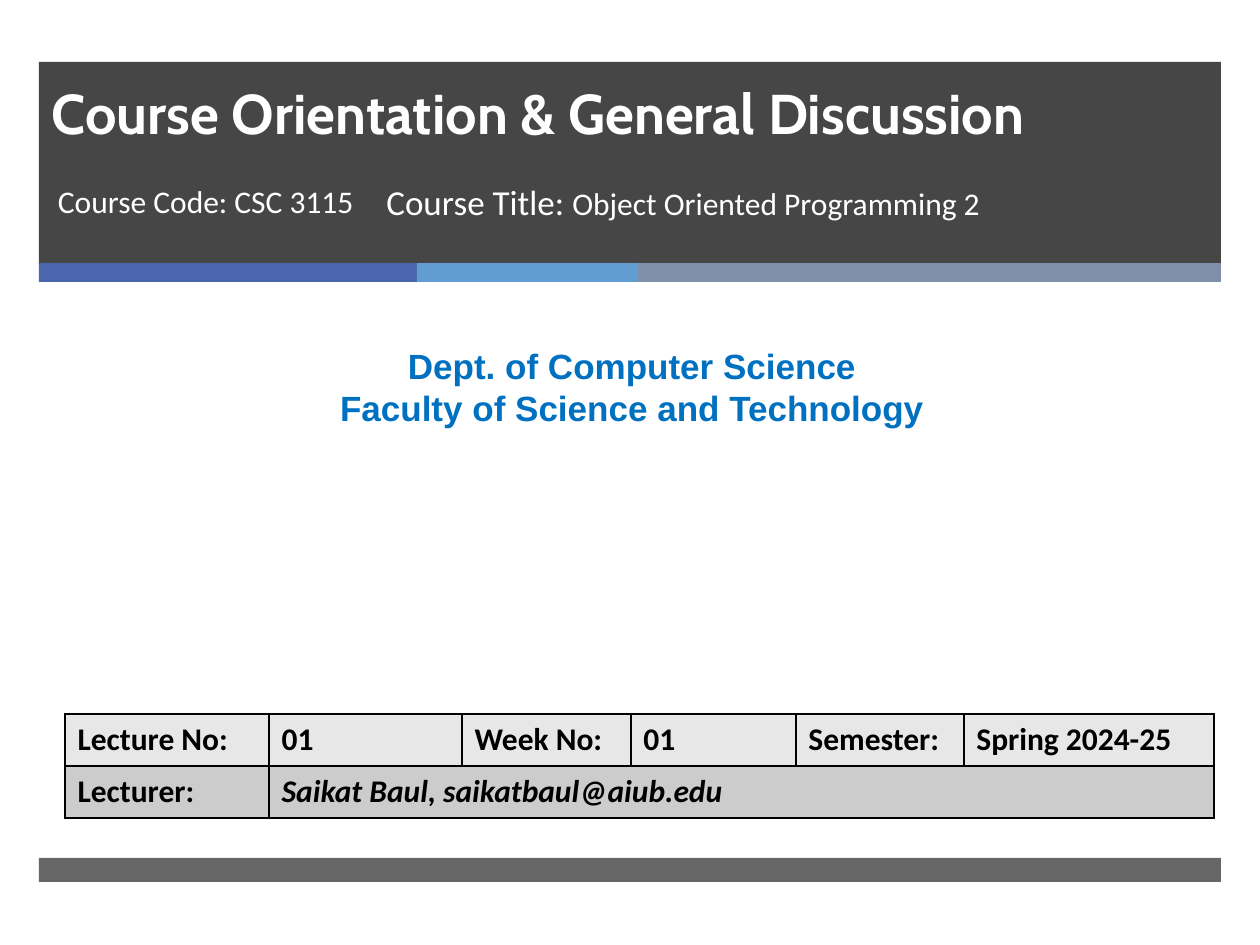
from pptx import Presentation
from pptx.dml.color import RGBColor
from pptx.enum.shapes import MSO_SHAPE
from pptx.enum.text import MSO_ANCHOR, MSO_AUTO_SIZE, PP_ALIGN
from pptx.oxml.ns import qn
from pptx.util import Emu, Pt
from lxml import etree

RECTANGLE = MSO_SHAPE.RECTANGLE
LEFT, CENTER = PP_ALIGN.LEFT, PP_ALIGN.CENTER
TOP, BOTTOM = MSO_ANCHOR.TOP, MSO_ANCHOR.BOTTOM
NO_AUTOFIT = MSO_AUTO_SIZE.NONE

TITLE = "Course Orientation & General Discussion"
COURSE_CODE = "Course Code: CSC 3115"
COURSE_TITLE = ("Course Title: ", "Object Oriented Programming 2")
DEPARTMENT = ("Dept. of Computer Science", "Faculty of Science and Technology")
LECTURE_ROWS = [
    ["Lecture No:", "01", "Week No:", "01", "Semester:", "Spring 2024-25"],
    ["Lecturer:", "Saikat Baul, saikatbaul@aiub.edu"],
]

THEME = {
    "dark": "262626", "white": "FFFFFF", "black": "000000", "heading": "0070C0",
    "stripes": ("4A66AC", "629DD1", "7F8FA9"),
    "rows": ("E7E7E7", "CCCCCC"),
    "title_font": "Cabin", "body_font": "Calibri", "heading_font": "Arial",
    "title_size": 32, "heading_size": 20, "body_size": 18,
}

SLIDE_SIZE = (1260, 945)
BAND_LEFT, BAND_WIDTH = 39, 1182
STRIPE_WIDTHS = (378, 221, 583)
TABLE_LEFT, TABLE_TOP, ROW_HEIGHT = 65, 714, 52
COLUMN_WIDTHS = (204, 193, 169, 165, 168, 250)


def px(length):
    return Emu(round(length * 914400 / 126))


def color(value):
    return RGBColor.from_string(value)


def place(shape, left, top, width, height):
    shape.left, shape.top = px(left), px(top)
    shape.width, shape.height = px(width), px(height)


def style(run, font, size, fill, bold=False, italic=False):
    run.font.name, run.font.size = font, Pt(size)
    run.font.bold, run.font.italic = bold, italic
    run.font.color.rgb = color(fill)


def add_band(slide, left, top, width, height, fill, opacity=100):
    band = slide.shapes.add_shape(RECTANGLE, px(left), px(top), px(width), px(height))
    band.shadow.inherit = False
    band.fill.solid()
    band.fill.fore_color.rgb = color(fill)
    band.line.fill.background()
    if opacity < 100:
        rgb = band.fill._xPr.find(f".//{qn('a:srgbClr')}")
        etree.SubElement(rgb, qn("a:alpha"), val=str(opacity * 1000))


def add_text(slide, left, top, width, height):
    box = slide.shapes.add_textbox(px(left), px(top), px(width), px(height))
    box.text_frame.word_wrap = True
    return box.text_frame


def add_borders(cell):
    properties = cell._tc.get_or_add_tcPr()
    for index, side in enumerate(("lnL", "lnR", "lnT", "lnB")):
        line = etree.Element(qn(f"a:{side}"), w=str(Pt(1)))
        fill = etree.SubElement(line, qn("a:solidFill"))
        etree.SubElement(fill, qn("a:srgbClr"), val=THEME["black"])
        properties.insert(index, line)


def add_bands(slide):
    add_band(slide, BAND_LEFT, 62, BAND_WIDTH, 202, THEME["dark"], 85)
    left = BAND_LEFT
    for width, fill in zip(STRIPE_WIDTHS, THEME["stripes"]):
        add_band(slide, left, 263, width, 19, fill)
        left += width
    add_band(slide, BAND_LEFT, 858, BAND_WIDTH, 24, THEME["dark"], 70)


def add_headings(slide):
    title = slide.shapes.title
    place(title, BAND_LEFT, 82, 1095, 70)
    frame = title.text_frame
    frame.text = TITLE
    frame.auto_size = NO_AUTOFIT
    frame.vertical_anchor = BOTTOM
    frame.paragraphs[0].alignment = LEFT
    style(frame.paragraphs[0].runs[0], THEME["title_font"], THEME["title_size"],
          THEME["white"], bold=True)

    code = add_text(slide, BAND_LEFT, 176, 335, 97)
    code.margin_left = px(19)
    code.text = COURSE_CODE
    style(code.paragraphs[0].runs[0], THEME["body_font"], THEME["body_size"], THEME["white"])

    course = add_text(slide, 374, 174, 658, 97).paragraphs[0]
    for text, size in zip(COURSE_TITLE, (THEME["heading_size"], THEME["body_size"])):
        run = course.add_run()
        run.text = text
        style(run, THEME["body_font"], size, THEME["white"])

    department = add_text(slide, 10, 338, 1244, 97)
    department.text = "\n".join(DEPARTMENT)
    for paragraph in department.paragraphs:
        paragraph.alignment = CENTER
        style(paragraph.runs[0], THEME["heading_font"], THEME["heading_size"],
              THEME["heading"], bold=True)


def add_lecture_table(slide):
    table = slide.shapes.add_table(
        len(LECTURE_ROWS), len(COLUMN_WIDTHS), px(TABLE_LEFT), px(TABLE_TOP),
        px(sum(COLUMN_WIDTHS)), px(ROW_HEIGHT * len(LECTURE_ROWS))).table
    for column, width in zip(table.columns, COLUMN_WIDTHS):
        column.width = px(width)
    for row, fill in zip(table.rows, THEME["rows"]):
        row.height = px(ROW_HEIGHT)
        for cell in row.cells:
            cell.fill.solid()
            cell.fill.fore_color.rgb = color(fill)
            add_borders(cell)
    table.cell(1, 1).merge(table.cell(1, len(COLUMN_WIDTHS) - 1))
    for row, texts in enumerate(LECTURE_ROWS):
        for column, text in enumerate(texts):
            cell = table.cell(row, column)
            cell.text = text
            cell.vertical_anchor = TOP
            style(cell.text_frame.paragraphs[0].runs[0], THEME["body_font"],
                  THEME["body_size"], THEME["black"], bold=True,
                  italic=(row, column) == (1, 1))


def main():
    presentation = Presentation()
    presentation.slide_width, presentation.slide_height = map(px, SLIDE_SIZE)
    slide = presentation.slides.add_slide(presentation.slide_layouts[5])
    slide.background.fill.solid()
    slide.background.fill.fore_color.rgb = color(THEME["white"])
    add_bands(slide)
    tree = slide.shapes.title._element.getparent()
    tree.append(slide.shapes.title._element)
    add_headings(slide)
    add_lecture_table(slide)
    presentation.save("out.pptx")


if __name__ == "__main__":
    main()
